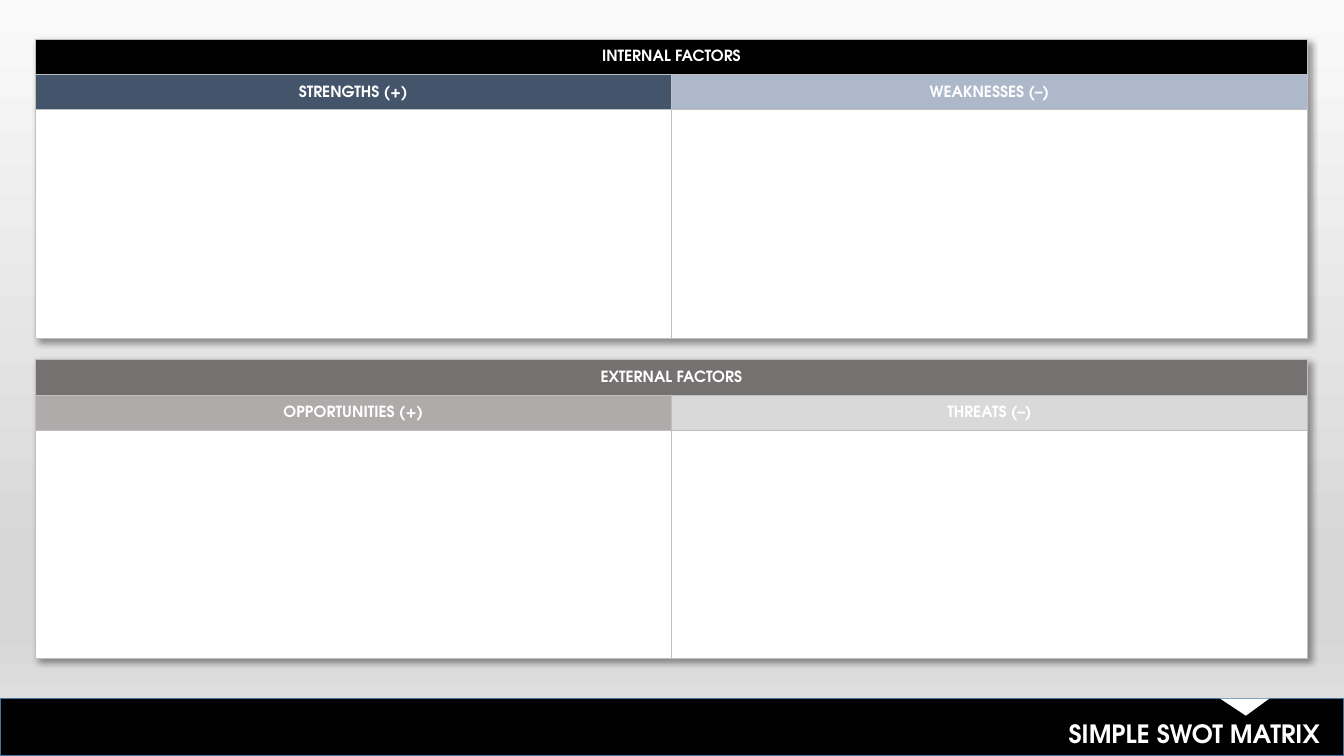
from lxml import etree
from pptx import Presentation
from pptx.dml.color import RGBColor
from pptx.enum.shapes import MSO_SHAPE
from pptx.enum.text import MSO_ANCHOR, PP_ALIGN
from pptx.oxml import parse_xml
from pptx.oxml.ns import nsdecls, qn
from pptx.util import Inches, Pt

RECTANGLE, TRIANGLE = MSO_SHAPE.RECTANGLE, MSO_SHAPE.ISOSCELES_TRIANGLE
MIDDLE, CENTER, RIGHT = MSO_ANCHOR.MIDDLE, PP_ALIGN.CENTER, PP_ALIGN.RIGHT

# Content
TITLE = "SIMPLE SWOT MATRIX"
MATRICES = [
    {"top": 0.39, "body": 2.27, "heading": ("INTERNAL FACTORS", "internal"),
     "columns": [("STRENGTHS (+)", "strengths"), ("WEAKNESSES (–)", "weaknesses")]},
    {"top": 3.57, "body": 2.26, "heading": ("EXTERNAL FACTORS", "external"),
     "columns": [("OPPORTUNITIES (+)", "opportunities"), ("THREATS (–)", "threats")]},
]

# Style
FONT = "TeX Gyre Adventor"
COLORS = {
    "white": "FFFFFF", "bar": "000000", "bar_line": "43739E", "grid": "BFBFBF",
    "internal": "000000", "strengths": "44546A", "weaknesses": "ADB9CA",
    "external": "767171", "opportunities": "AFABAB", "threats": "D9D9D9",
}
BACKGROUND_STOPS = [(0, "FAFAFA"), (74, "D7D7D7"), (83, "D7D7D7"), (100, "E4E4E4")]
SLIDE_W, SLIDE_H = 13.33, 7.5
BAR_TOP = 6.93
TABLE_LEFT, COLUMN_W, HEADER_H = 0.35, 6.31, 0.35


def rgb(name):
    return RGBColor.from_string(COLORS[name])


def write(frame, text, size, align):
    paragraph = frame.paragraphs[0]
    paragraph.alignment = align
    run = paragraph.add_run()
    run.text = text
    run.font.name, run.font.size, run.font.bold = FONT, Pt(size), True
    run.font.color.rgb = rgb("white")


def add_solid(slide, preset, box, color):
    shape = slide.shapes.add_shape(preset, *map(Inches, box))
    shape.shadow.inherit = False
    shape.fill.solid()
    shape.fill.fore_color.rgb = rgb(color)
    shape.line.fill.background()
    return shape


def fill_cell(cell, color):
    properties = cell._tc.get_or_add_tcPr()
    for side in ("lnL", "lnR", "lnT", "lnB"):
        properties.append(parse_xml(
            f'<a:{side} {nsdecls("a")} w="12700"><a:solidFill>'
            f'<a:srgbClr val="{COLORS["grid"]}"/></a:solidFill></a:{side}>'))
    cell.fill.solid()
    cell.fill.fore_color.rgb = rgb(color)


def add_header(cell, text, color):
    fill_cell(cell, color)
    cell.vertical_anchor = MIDDLE
    cell.margin_left = cell.margin_right = cell.margin_top = Inches(0.01)
    cell.margin_bottom = 0
    write(cell.text_frame, text, 11, CENTER)


def add_matrix(slide, matrix):
    heights = [HEADER_H, HEADER_H, matrix["body"]]
    table = slide.shapes.add_table(
        3, 2, Inches(TABLE_LEFT), Inches(matrix["top"]),
        Inches(2 * COLUMN_W), Inches(sum(heights))).table
    for row, height in zip(table.rows, heights):
        row.height = Inches(height)

    # Soft shadow around the whole table
    table._tbl.tblPr.insert(0, parse_xml(
        f'<a:effectLst {nsdecls("a")}><a:outerShdw blurRad="50800" dist="38100" '
        'dir="2700000" algn="tl" rotWithShape="0"><a:prstClr val="black">'
        '<a:alpha val="40000"/></a:prstClr></a:outerShdw></a:effectLst>'))

    # Heading across both columns, then a header and an empty field in each
    table.cell(0, 0).merge(table.cell(0, 1))
    add_header(table.cell(0, 0), *matrix["heading"])
    fill_cell(table.cell(0, 1), matrix["heading"][1])
    for index, (text, color) in enumerate(matrix["columns"]):
        table.columns[index].width = Inches(COLUMN_W)
        add_header(table.cell(1, index), text, color)
        fill_cell(table.cell(2, index), "white")


def set_background(slide):
    fill = slide.background.fill
    fill.gradient()
    fill.gradient_angle = 270
    stops = slide.element.find(".//" + qn("a:gsLst"))
    for stop in list(stops):
        stops.remove(stop)
    for percent, color in BACKGROUND_STOPS:
        stop = etree.SubElement(stops, qn("a:gs"), pos=str(percent * 1000))
        etree.SubElement(stop, qn("a:srgbClr"), val=color)


def main():
    deck = Presentation()
    deck.slide_width, deck.slide_height = Inches(SLIDE_W), Inches(SLIDE_H)
    slide = deck.slides.add_slide(deck.slide_layouts[5])
    set_background(slide)

    # Footer bar with its notch
    bar = add_solid(slide, RECTANGLE, (0, BAR_TOP, SLIDE_W, SLIDE_H - BAR_TOP), "bar")
    bar.line.color.rgb = rgb("bar_line")
    bar.line.width = Pt(1)
    notch = add_solid(slide, TRIANGLE, (12.1, BAR_TOP, 0.49, 0.17), "white")
    notch.rotation = 180
    notch.adjustments[0] = 0.477

    # Title, in front of the bar
    title = slide.shapes.title
    title.left, title.top = Inches(6.41), Inches(7.08)
    title.width, title.height = Inches(6.78), Inches(0.4)
    title.text_frame.vertical_anchor = MIDDLE
    write(title.text_frame, TITLE, 18, RIGHT)
    notch.element.addnext(title.element)

    for matrix in MATRICES:
        add_matrix(slide, matrix)
    deck.save("out.pptx")


if __name__ == "__main__":
    main()
